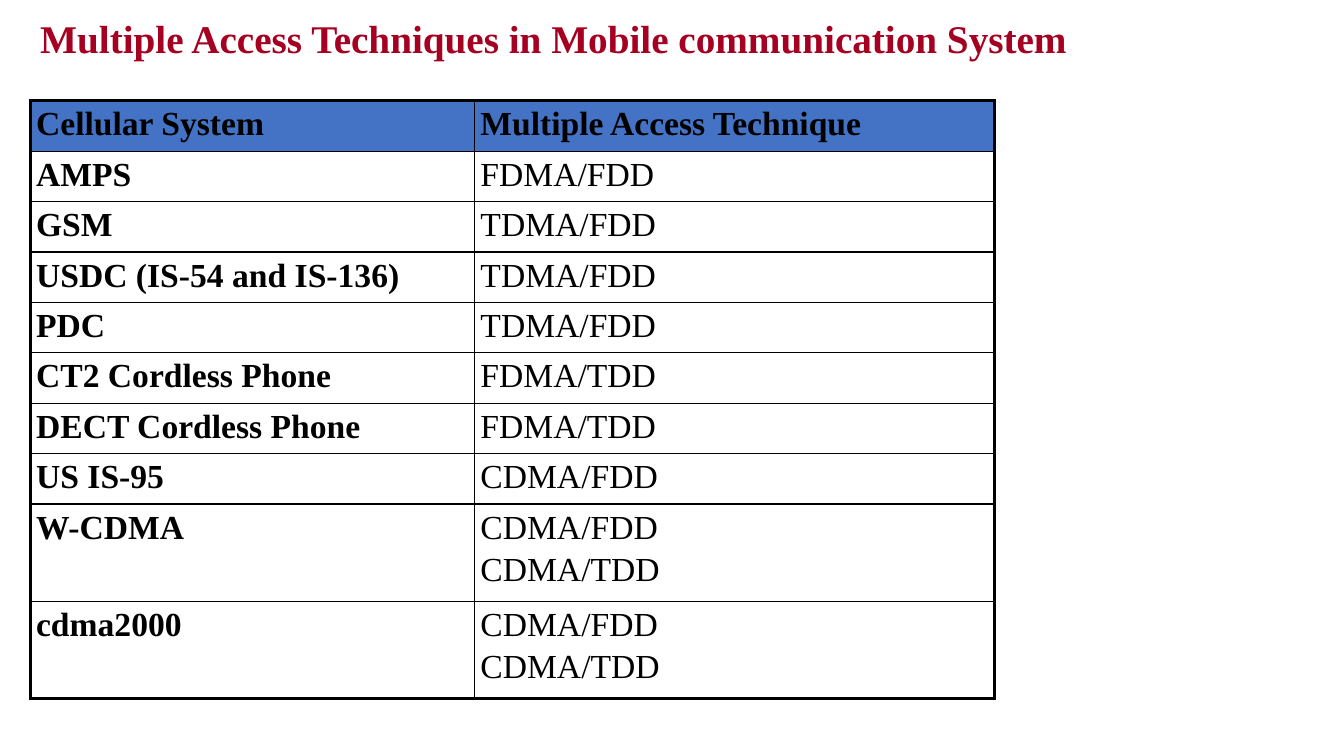
from dataclasses import dataclass

from lxml.etree import SubElement
from pptx import Presentation
from pptx.dml.color import RGBColor
from pptx.enum.text import MSO_ANCHOR, MSO_AUTO_SIZE, PP_ALIGN
from pptx.oxml.ns import qn
from pptx.util import Cm, Pt


@dataclass(frozen=True)
class Theme:
    font: str = "Times New Roman"
    title_color: str = "A50021"
    ink: str = "000000"
    header_fill: str = "4472C4"
    title_size: float = 28
    table_size: float = 24
    paragraph_gap: float = 3.5
    outer_line: float = 2.25
    inner_line: float = 1


TITLE = "Multiple Access Techniques in Mobile communication System"
SYSTEMS = [
    ("Cellular System", "Multiple Access Technique"),
    ("AMPS", "FDMA/FDD"),
    ("GSM", "TDMA/FDD"),
    ("USDC (IS-54 and IS-136)", "TDMA/FDD"),
    ("PDC", "TDMA/FDD"),
    ("CT2 Cordless Phone", "FDMA/TDD"),
    ("DECT Cordless Phone", "FDMA/TDD"),
    ("US IS-95", "CDMA/FDD"),
    ("W-CDMA", "CDMA/FDD\nCDMA/TDD"),
    ("cdma2000", "CDMA/FDD\nCDMA/TDD"),
]
COLUMN_WIDTHS = (11.2, 13.1)
ROW_HEIGHT = 1.27
TWO_LINE_HEIGHT = 2.45


def write(frame, text, *, font, size, color, bold=False, gap=0):
    """Fill a text frame, one paragraph per line, with gap points between them."""
    frame.text = text
    for index, paragraph in enumerate(frame.paragraphs):
        paragraph.alignment = PP_ALIGN.LEFT
        paragraph.space_before = Pt(gap if index else 0)
        for run in paragraph.runs:
            run.font.name = font
            run.font.size = Pt(size)
            run.font.bold = bold
            run.font.color.rgb = RGBColor.from_string(color)


def draw_border(cell, side, width, color):
    line = SubElement(cell._tc.get_or_add_tcPr(), qn(f"a:ln{side}"), w=str(Pt(width)))
    fill = SubElement(line, qn("a:solidFill"))
    SubElement(fill, qn("a:srgbClr"), val=color)


class SlideBuilder:
    def __init__(self, slide, theme):
        self.slide = slide
        self.theme = theme

    def title(self, text, left, top, width, height):
        heading = self.slide.shapes.title
        heading.left, heading.top = Cm(left), Cm(top)
        heading.width, heading.height = Cm(width), Cm(height)
        frame = heading.text_frame
        frame.word_wrap = True
        frame.auto_size = MSO_AUTO_SIZE.NONE
        frame.vertical_anchor = MSO_ANCHOR.TOP
        write(frame, text, font=self.theme.font, size=self.theme.title_size,
              color=self.theme.title_color, bold=True)

    def table(self, rows, left, top, widths):
        heights = [TWO_LINE_HEIGHT if "\n" in technique else ROW_HEIGHT
                   for _, technique in rows]
        table = self.slide.shapes.add_table(
            len(rows), len(widths), Cm(left), Cm(top),
            Cm(sum(widths)), Cm(sum(heights))).table
        table.horz_banding = False
        for column, width in zip(table.columns, widths):
            column.width = Cm(width)
        for row, height in zip(table.rows, heights):
            row.height = Cm(height)
        last_row, last_column = len(rows) - 1, len(widths) - 1
        for r, row in enumerate(rows):
            for c, text in enumerate(row):
                outer = {"L": c == 0, "R": c == last_column,
                         "T": r == 0, "B": r == last_row}
                self.cell(table.cell(r, c), text, outer,
                          header=r == 0, bold=r == 0 or c == 0)

    def cell(self, cell, text, outer, header, bold):
        """Format one cell; outer tells which sides lie on the table's edge."""
        theme = self.theme
        cell.margin_left = cell.margin_right = Cm(0.15)
        cell.margin_top = cell.margin_bottom = Cm(0.13)
        cell.vertical_anchor = MSO_ANCHOR.TOP
        for side, on_edge in outer.items():
            draw_border(cell, side, theme.outer_line if on_edge else theme.inner_line,
                        theme.ink)
        if header:
            cell.fill.solid()
            cell.fill.fore_color.rgb = RGBColor.from_string(theme.header_fill)
        else:
            cell.fill.background()
        write(cell.text_frame, text, font=theme.font, size=theme.table_size,
              color=theme.ink, bold=bold, gap=theme.paragraph_gap)


def main():
    presentation = Presentation()
    presentation.slide_width, presentation.slide_height = Cm(33.87), Cm(19.05)
    title_only = presentation.slide_layouts[5]
    builder = SlideBuilder(presentation.slides.add_slide(title_only), Theme())
    builder.title(TITLE, left=0.76, top=0.23, width=28.58, height=1.45)
    builder.table(SYSTEMS, left=0.76, top=2.54, widths=COLUMN_WIDTHS)
    presentation.save("out.pptx")


if __name__ == "__main__":
    main()
